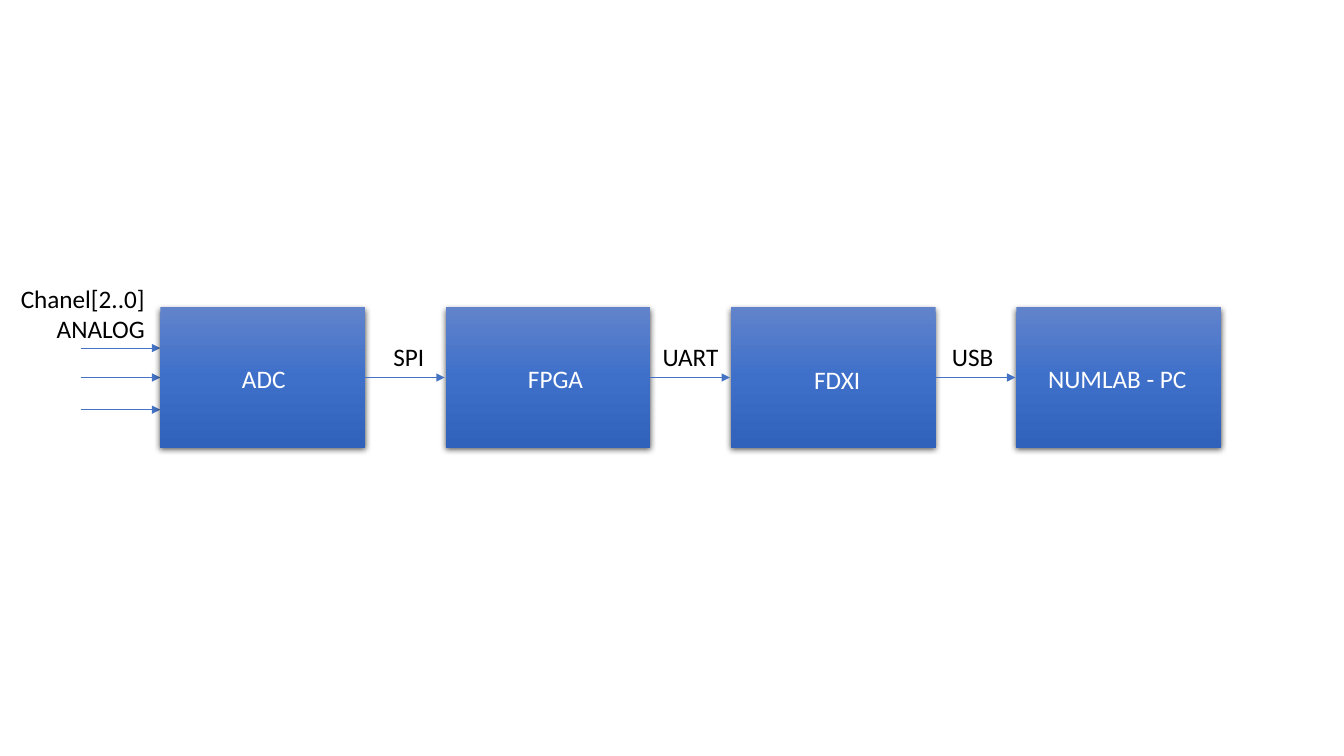
from pptx import Presentation
from pptx.dml.color import RGBColor
from pptx.enum.shapes import MSO_CONNECTOR, MSO_SHAPE
from pptx.enum.text import MSO_ANCHOR, PP_ALIGN
from pptx.oxml import parse_xml
from pptx.oxml.ns import nsdecls, qn
from pptx.util import Inches, Pt

WIDE, HIGH = 13.33, 7.5
LEFT, TOP = 1.59, 3.05
COL, ROW = 2.03, 1.39
STEP, GAP = 2.83, 0.79
BLUE = "4472C4"
FADE = [(0, "6183CB"), (50, "3E70CA"), (100, "3062BB")]


def color(code):
    return RGBColor.from_string(code)


def node(tag, attrs="", inner=""):
    return parse_xml(f"<a:{tag} {nsdecls('a')} {attrs}>{inner}</a:{tag}>")


def write(slide, text, box, size=18, font="Calibri", ink="000000", align=PP_ALIGN.RIGHT):
    frame = slide.shapes.add_textbox(*map(Inches, box)).text_frame
    frame.word_wrap = True
    frame.vertical_anchor = MSO_ANCHOR.TOP
    para = frame.paragraphs[0]
    para.text = text
    para.alignment = align
    for run in para.runs:
        run.font.size = Pt(size)
        run.font.name = font
        run.font.color.rgb = color(ink)


def arrow(slide, start, end, y):
    line = slide.shapes.add_connector(
        MSO_CONNECTOR.STRAIGHT, *map(Inches, (start, y, end, y)))
    line.line.color.rgb = color(BLUE)
    line.line.width = Pt(0.5)
    line.line._get_or_add_ln().append(node("tailEnd", 'type="triangle"'))
    line._element.spPr.append(node("effectLst"))


def block(slide, box):
    shape = slide.shapes.add_shape(MSO_SHAPE.RECTANGLE, *map(Inches, box))
    shape.line.fill.background()
    shape.fill.gradient()
    shape.fill.gradient_angle = 270
    stops = shape._element.spPr.find(qn("a:gradFill")).find(qn("a:gsLst"))
    stops.clear()
    for pos, code in FADE:
        stops.append(node("gs", f'pos="{pos * 1000}"', f'<a:srgbClr val="{code}"/>'))
    shape.shadow.inherit = False
    shape._element.spPr.find(qn("a:effectLst")).append(node(
        "outerShdw", f'blurRad="{Pt(4.5)}" dist="{Pt(1.5)}" dir="5400000" rotWithShape="0"',
        '<a:srgbClr val="000000"><a:alpha val="63000"/></a:srgbClr>'))


def stage(slide, box, name, edge, drop):
    x, y, w, h = box
    block(slide, box)
    wide = 0.82 * w
    write(slide, name, (x + edge * w - wide, y + drop * h, wide, 0.4), ink="FFFFFF")


def link(slide, box, label, edge, drop):
    x, y, w, h = box
    arrow(slide, x, x + w, y + h / 2)
    wide = 1.36
    write(slide, label, (x + edge * w - wide, y + drop * h, wide, 0.4))


def feed(slide, box, label):
    x, y, w, h = box
    for share in (0.29, 0.5, 0.73):
        arrow(slide, x, x + w, y + share * h)
    write(slide, label, (0, y - 0.21 * h, x + 0.93 * w, 0.71))


def chain(slide, box):
    x, y, w, h = box
    feed(slide, (x - GAP, y, GAP, h), "Chanel[2..0]\vANALOG")
    names = [("ADC", 0.66, 0.36), ("FPGA", 0.72, 0.36),
             ("FDXI", 0.68, 0.37), ("NUMLAB - PC", 0.88, 0.36)]
    for i, (name, edge, drop) in enumerate(names):
        stage(slide, (x + i * STEP, y, w, h), name, edge, drop)
    links = [("SPI", 0.87, 0.21), ("UART", 0.98, 0.21), ("USB", 0.85, 0.21)]
    for i, (label, edge, drop) in enumerate(links):
        link(slide, (x + i * STEP + w, y, GAP, h), label, edge, drop)


deck = Presentation()
deck.slide_width, deck.slide_height = Inches(WIDE), Inches(HIGH)
page = deck.slides.add_slide(deck.slide_layouts[6])
chain(page, (LEFT, TOP, COL, ROW))
deck.save("out.pptx")
